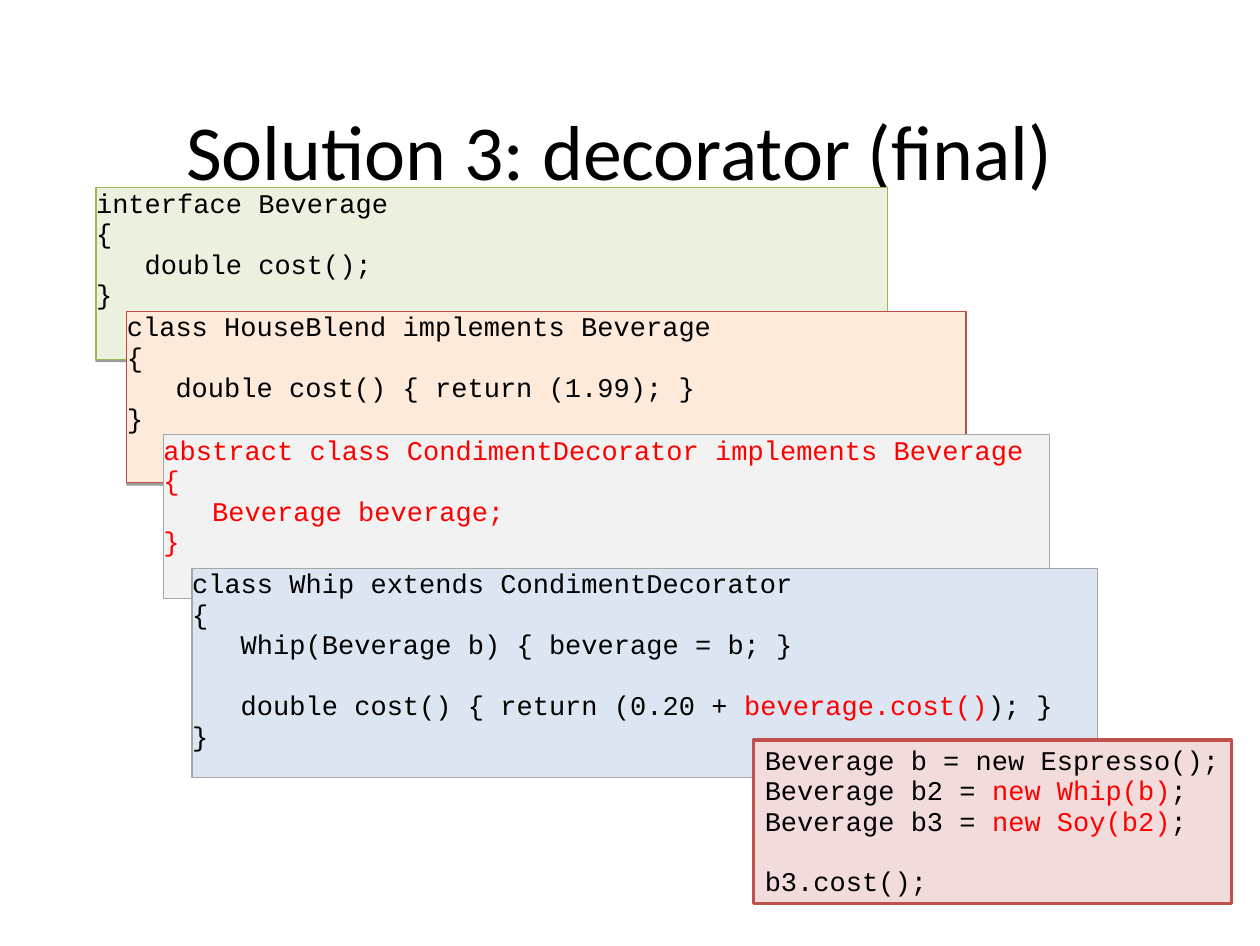
import pptx
import pptx.util
import pptx.dml.color
import pptx.enum.shapes
import pptx.enum.text
import pptx.oxml
import pptx.oxml.ns

RGB = pptx.dml.color.RGBColor
BLACK = RGB(0x00, 0x00, 0x00)
RED = RGB(0xFF, 0x00, 0x00)
GREEN = RGB(0x98, 0xB9, 0x54)
MINT = RGB(0xEB, 0xF1, 0xDE)
BRICK = RGB(0xBE, 0x4B, 0x48)
PEACH = RGB(0xFD, 0xEA, 0xDA)
GRAY = RGB(0xA6, 0xA6, 0xA6)
PALE = RGB(0xF2, 0xF2, 0xF2)
SKY = RGB(0xDC, 0xE6, 0xF2)
ROSE = RGB(0xF2, 0xDC, 0xDB)
WINE = RGB(0xC0, 0x50, 0x4D)

PX = 9144  # EMU in one px, 100 px to the inch
Pt = pptx.util.Pt
Align = pptx.enum.text.PP_ALIGN
Anchor = pptx.enum.text.MSO_ANCHOR
Fit = pptx.enum.text.MSO_AUTO_SIZE
LINE_GAP = 19  # points left for an empty code line

# Code on the cards; text between bars is marked in red
BASE = """interface Beverage
{
   double cost();
}"""
BLEND = """class HouseBlend implements Beverage
{
   double cost() { return (1.99); }
}"""
DECOR = """|abstract class CondimentDecorator implements Beverage|
|{|
|   Beverage beverage;|
|}|"""
WHIP = """class Whip extends CondimentDecorator
{
   Whip(Beverage b) { beverage = b; }

   double cost() { return (0.20 + |beverage.cost()|); }
}"""
USAGE = """Beverage b = new Espresso();
Beverage b2 = |new Whip(b)|;
Beverage b3 = |new Soy(b2)|;

b3.cost();"""


def scale(box):
    return [n * PX for n in box]


def inset(frame, left, top, right, bottom):
    frame.margin_left, frame.margin_right = left * PX, right * PX
    frame.margin_top, frame.margin_bottom = top * PX, bottom * PX


def style(font, size, name, color):
    font.size = Pt(size)
    font.name = name
    font.color.rgb = color


def add_title(slide, box, text):
    title = slide.shapes.title
    title.left, title.top, title.width, title.height = scale(box)
    frame = title.text_frame
    frame.text = text
    frame.word_wrap = True
    frame.auto_size = Fit.NONE
    frame.vertical_anchor = Anchor.MIDDLE
    inset(frame, 11, 6, 11, 6)
    para = frame.paragraphs[0]
    para.alignment = Align.CENTER
    style(para.runs[0].font, 49, "Calibri", BLACK)


def add_shade(shape):
    shape._element.spPr.append(pptx.oxml.parse_xml(
        f'<a:effectLst {pptx.oxml.ns.nsdecls("a")}>'
        '<a:outerShdw blurRad="0" dist="20000" dir="5400000" rotWithShape="0">'
        '<a:srgbClr val="000000"><a:alpha val="38000"/></a:srgbClr>'
        '</a:outerShdw></a:effectLst>'))


def write_code(frame, code):
    gap = 0
    first = True
    for line in code.split("\n"):
        if not line:
            gap = LINE_GAP
            continue
        para = frame.paragraphs[0] if first else frame.add_paragraph()
        first = False
        para.alignment = Align.LEFT
        para.line_spacing = 0.94
        if gap:
            para.space_before = Pt(gap)
            gap = 0
        for i, part in enumerate(line.split("|")):
            if part:
                run = para.add_run()
                run.text = part
                style(run.font, 17, "Courier New", RED if i % 2 else BLACK)


def add_card(slide, box, code, fill, edge, width=0.75, shade=False):
    card = slide.shapes.add_shape(
        pptx.enum.shapes.MSO_SHAPE.RECTANGLE, *scale(box))
    card.fill.solid()
    card.fill.fore_color.rgb = fill
    card.line.color.rgb = edge
    card.line.width = Pt(width)
    if shade:
        add_shade(card)
    else:
        card.shadow.inherit = False
    frame = card.text_frame
    frame.word_wrap = True
    frame.vertical_anchor = Anchor.TOP
    inset(frame, 0, 1, 0, 0)
    write_code(frame, code)
    return card


def add_usage(slide, box):
    frame = add_card(slide, box, USAGE, ROSE, WINE, 2.25).text_frame
    inset(frame, 10, 5, 10, 5)
    frame.word_wrap = False
    frame.auto_size = Fit.SHAPE_TO_FIT_TEXT


def main():
    deck = pptx.Presentation()
    deck.slide_width, deck.slide_height = scale((1102, 827))
    slide = deck.slides.add_slide(deck.slide_layouts[5])

    # Heading
    add_title(slide, (79, 75, 925, 112), "Solution 3: decorator (final)")

    # Stacked class cards
    add_card(slide, (84, 164, 692, 150), BASE, MINT, GREEN, shade=True)
    add_card(slide, (111, 272, 734, 150), BLEND, PEACH, BRICK, shade=True)
    add_card(slide, (143, 380, 775, 143), DECOR, PALE, GRAY)
    add_card(slide, (168, 497, 792, 183), WHIP, SKY, GRAY)

    # Usage example
    add_usage(slide, (659, 647, 418, 143))

    deck.save("out.pptx")


if __name__ == "__main__":
    main()
